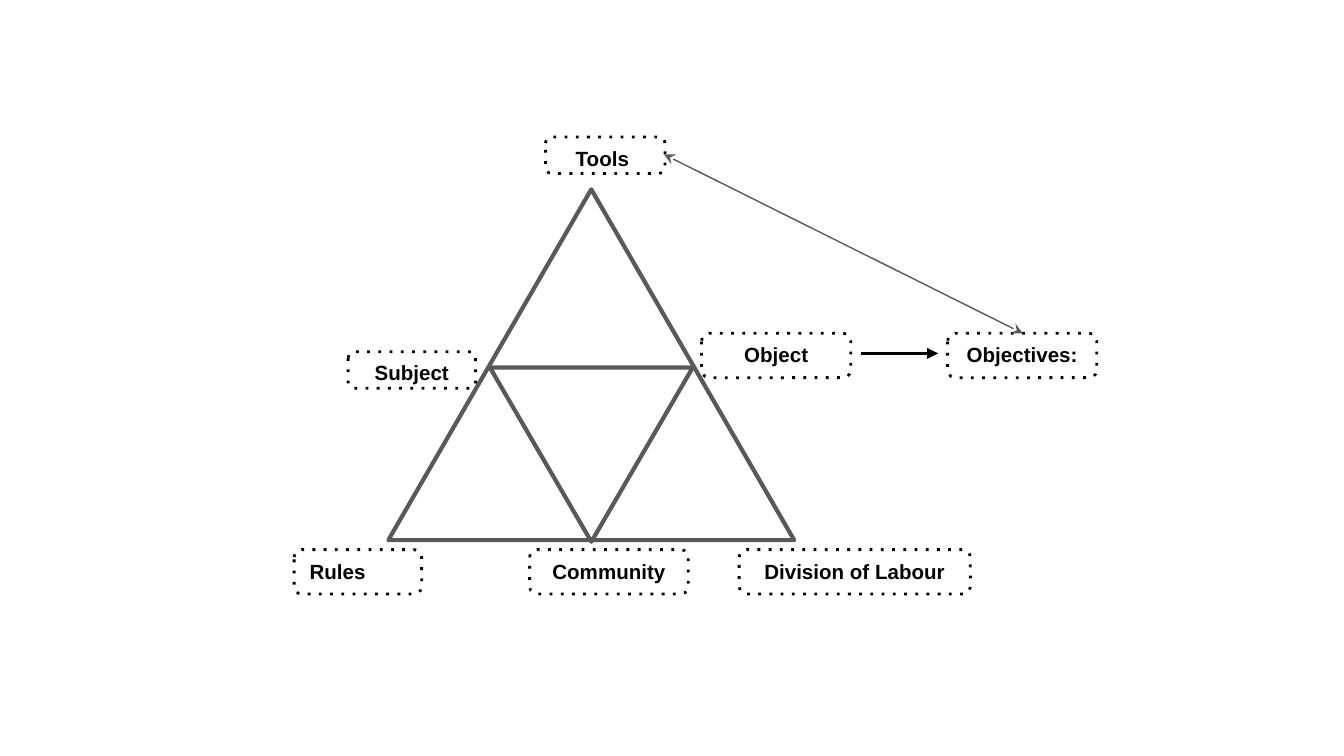
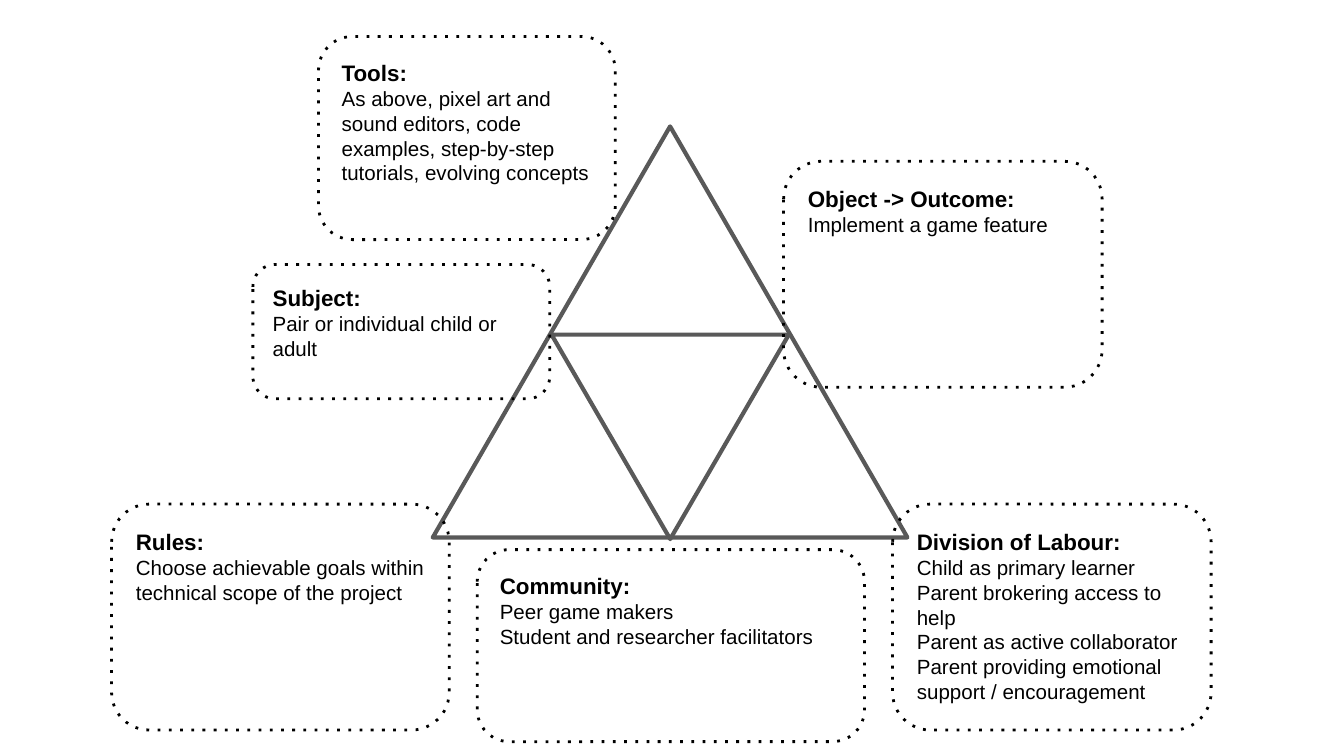
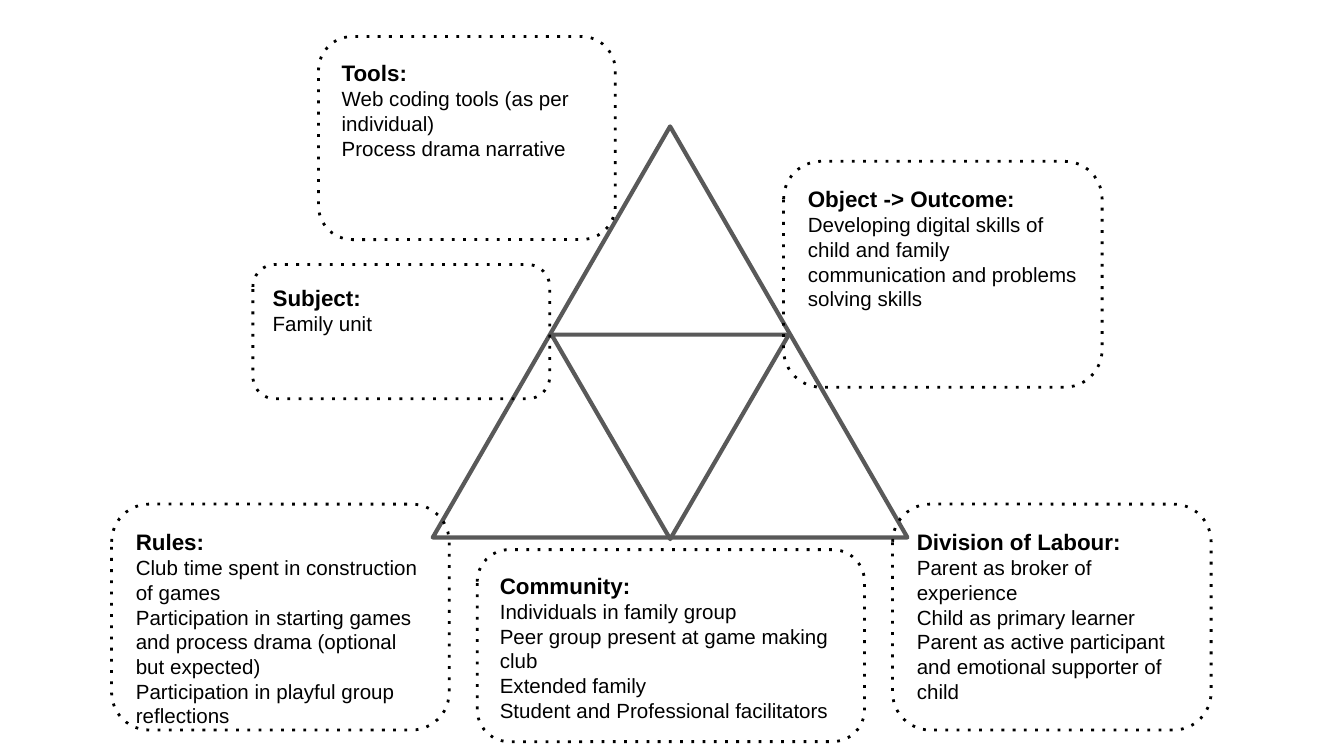
from lxml import etree
from pptx import Presentation
from pptx.dml.color import RGBColor
from pptx.enum.shapes import MSO_CONNECTOR, MSO_SHAPE
from pptx.enum.text import MSO_ANCHOR, PP_ALIGN
from pptx.oxml.ns import qn
from pptx.util import Cm, Pt

LINE = MSO_CONNECTOR.STRAIGHT
CONE = MSO_SHAPE.ISOSCELES_TRIANGLE
ROUND = MSO_SHAPE.ROUNDED_RECTANGLE
TOP = MSO_ANCHOR.TOP
LEFT = PP_ALIGN.LEFT
MID = PP_ALIGN.CENTER

BLACK = "000000"
GREY = "595959"
FONT = "Arial"


def paint(item, tone, width):
    item.line.color.rgb = RGBColor.from_string(tone)
    item.line.width = Pt(width)


def add_box(slide, spot, text, size, align, inset):
    box = slide.shapes.add_shape(ROUND, *[Cm(v) for v in spot])
    box.shadow.inherit = False
    box.fill.background()
    paint(box, BLACK, 1.5)
    edge = box.element.spPr.find(qn("a:ln"))
    etree.SubElement(edge, qn("a:prstDash"), val="dot")
    frame = box.text_frame
    frame.word_wrap = True
    frame.vertical_anchor = TOP
    frame.margin_left = frame.margin_right = frame.margin_bottom = Cm(0.25)
    frame.margin_top = Cm(inset)
    frame.text = text
    for rank, para in enumerate(frame.paragraphs):
        para.alignment = align
        for run in para.runs:
            run.font.name = FONT
            run.font.size = Pt(11 if rank else size)
            run.font.bold = rank == 0
            run.font.color.rgb = RGBColor.from_string(BLACK)


deck = Presentation()
deck.slide_width = Cm(25.4)
deck.slide_height = Cm(14.29)

small = (7.34, 3.58, 7.67, 6.63)
large = (8.18, 2.39, 8.97, 7.77)
pages = []
for left, top, wide, high in (small, large, large):
    slide = deck.slides.add_slide(deck.slide_layouts[6])
    pages.append(slide)
    group = slide.shapes.add_group_shape()
    inner = (left + wide / 4, top + high / 2 + 0.05, wide / 2, high / 2 - 0.02)
    for spot, turn in (((left, top, wide, high), 0), (inner, 180)):
        cone = group.shapes.add_shape(CONE, *[Cm(v) for v in spot])
        cone.rotation = turn
        cone.shadow.inherit = False
        cone.fill.background()
        paint(cone, GREY, 2.25)

labels = [
    ("Tools ", MID, (10.31, 2.59, 2.26, 0.69)),
    ("Subject", MID, (6.58, 6.65, 2.41, 0.69)),
    ("Rules", LEFT, (5.56, 10.39, 2.41, 0.84)),
    ("Object", MID, (13.26, 6.3, 2.82, 0.84)),
    ("Objectives:", MID, (17.91, 6.3, 2.82, 0.84)),
    ("Community", MID, (10.01, 10.39, 3, 0.84)),
    ("Division of Labour", MID, (13.97, 10.39, 4.37, 0.84)),
]
for text, align, spot in labels:
    add_box(pages[0], spot, text, 11, align, 0.13)

arrows = [
    ((16.28, 6.68, 17.73, 6.68), BLACK, 1.5, {"tailEnd": "triangle"}),
    ((12.55, 2.92, 19.33, 6.3), GREY, 0.75,
     {"headEnd": "stealth", "tailEnd": "stealth"}),
]
for ends, tone, width, tips in arrows:
    arrow = pages[0].shapes.add_connector(LINE, *[Cm(v) for v in ends])
    paint(arrow, tone, width)
    props = arrow.element.spPr
    for tag, kind in tips.items():
        etree.SubElement(props.find(qn("a:ln")), qn("a:" + tag), type=kind)
    etree.SubElement(props, qn("a:effectLst"))

parts = [
    ("Tools:", (6.02, 0.69, 5.61, 3.84)),
    ("Subject:", (4.78, 5, 5.61, 2.54)),
    ("Rules:", (2.11, 9.53, 6.38, 4.27)),
    ("Division of Labour:", (16.87, 9.53, 6.02, 4.27)),
    ("Community:", (9.02, 10.39, 7.32, 3.63)),
    ("Object -> Outcome:", (14.81, 3.05, 6.02, 4.27)),
]
pair = [
    ["As above, pixel art and sound editors, code examples, "
     "step-by-step tutorials, evolving concepts"],
    ["Pair or individual child or adult"],
    ["Choose achievable goals within technical scope of the project"],
    ["Child as primary learner",
     "Parent brokering access to help",
     "Parent as active collaborator Parent providing emotional "
     "support / encouragement"],
    ["Peer game makers", "Student and researcher facilitators"],
    ["Implement a game feature"],
]
family = [
    ["Web coding tools (as per individual)", "Process drama narrative"],
    ["Family unit"],
    ["Club time spent in construction of games",
     "Participation in starting games and process drama "
     "(optional but expected)",
     "Participation in playful group reflections"],
    ["Parent as broker of experience",
     "Child as primary learner",
     "Parent as active participant and emotional supporter of child"],
    ["Individuals in family group",
     "Peer group present at game making club",
     "Extended family",
     "Student and Professional facilitators"],
    ["Developing digital skills of child and family communication "
     "and problems solving skills"],
]
for slide, notes in zip(pages[1:], (pair, family)):
    for (head, spot), lines in zip(parts, notes):
        add_box(slide, spot, "\n".join([head] + lines), 12, LEFT, 0.25)

deck.save("out.pptx")
